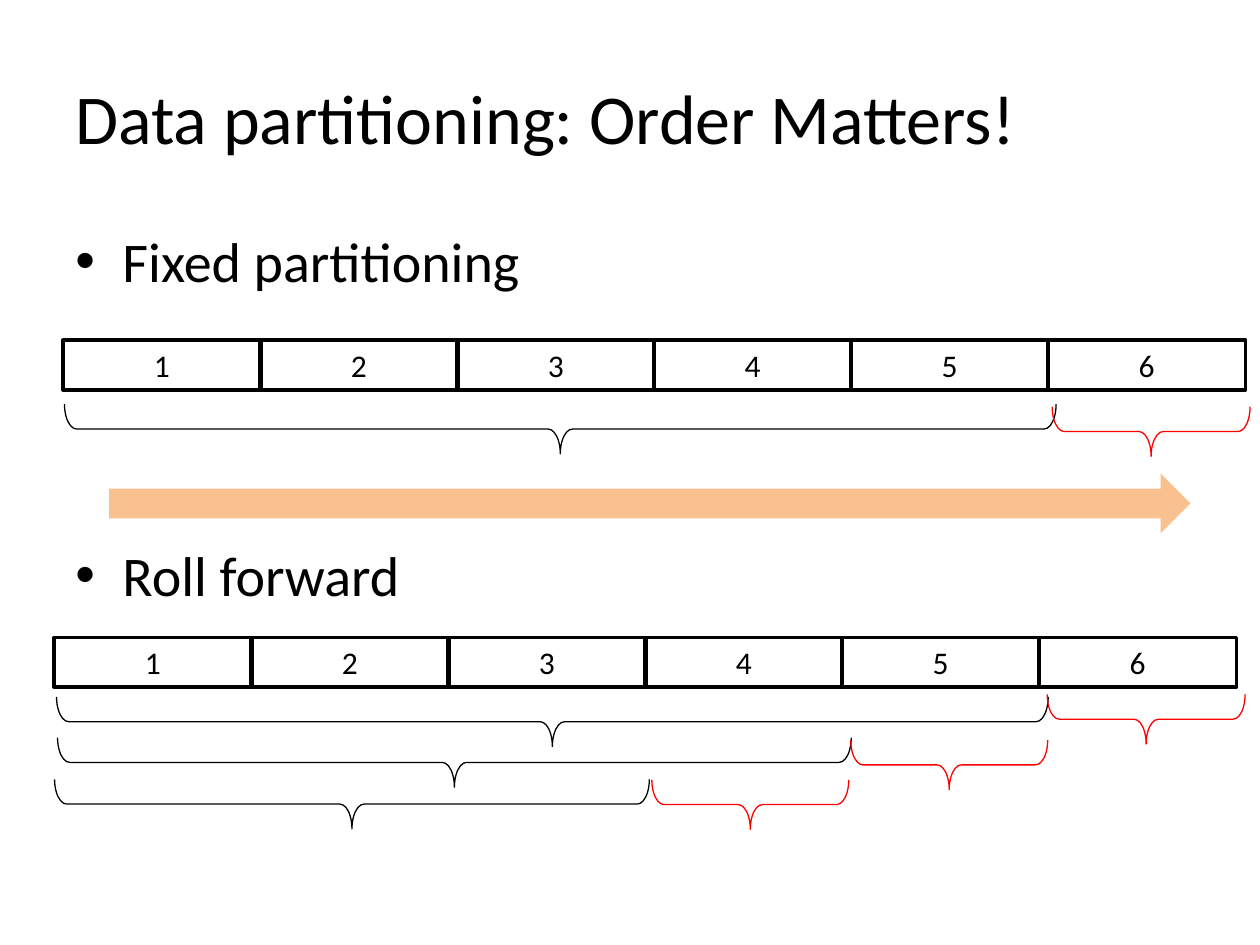
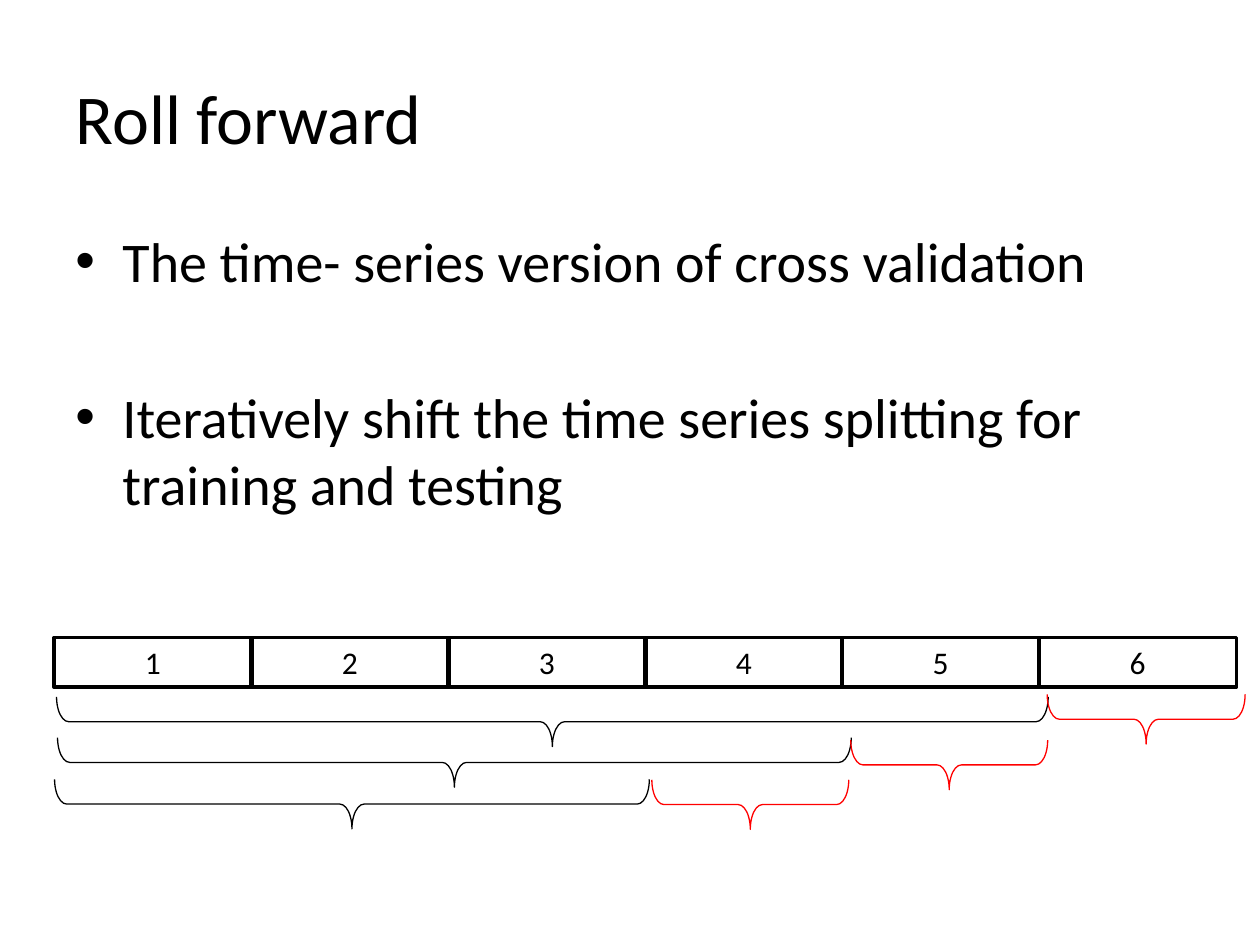
"""Two slides on fixed and roll-forward partitioning of ordered data."""
from lxml import etree
from pptx import Presentation
from pptx.dml.color import RGBColor
from pptx.enum.shapes import MSO_SHAPE
from pptx.enum.text import MSO_ANCHOR, PP_ALIGN
from pptx.oxml.ns import qn
from pptx.util import Cm, Pt

BLACK = RGBColor(0x00, 0x00, 0x00)
RED = RGBColor(0xFF, 0x00, 0x00)
PEACH = RGBColor(0xFA, 0xC0, 0x90)
FONT = "Calibri"
RECTANGLE, BRACE, ARROW = MSO_SHAPE.RECTANGLE, MSO_SHAPE.RIGHT_BRACE, MSO_SHAPE.RIGHT_ARROW
LEFT, CENTER = PP_ALIGN.LEFT, PP_ALIGN.CENTER
TOP, MIDDLE = MSO_ANCHOR.TOP, MSO_ANCHOR.MIDDLE

PERIODS = 6
PERIOD_WIDTH, PERIOD_PITCH, BAND_HEIGHT = 3.99, 3.97, 1.0

fixed_partition = {
    "left": 1.27, "top": 6.86,
    "training": [(1.3, 8.15, 19.99)],
    "testing": [(21.21, 8.2, 3.99)],
}
roll_partition = {
    "left": 1.09, "top": 12.85,
    "training": [(1.14, 14.05, 19.99), (1.16, 14.87, 16), (1.1, 15.71, 11.99)],
    "testing": [(21.11, 14, 3.99), (17.15, 14.92, 3.97), (13.14, 15.72, 3.97)],
}
topics = [
    ("Data partitioning: Order Matters!",
     ["Fixed partitioning", "Roll forward"], 140.5,
     [fixed_partition, roll_partition]),
    ("Roll forward",
     ["The time- series version of cross validation",
      "Iteratively shift the time series splitting for training and testing"], 50.5,
     [roll_partition]),
]


def write_run(paragraph, text, size, alignment):
    paragraph.alignment = alignment
    run = paragraph.add_run()
    run.text = text
    run.font.name = FONT
    run.font.size = Pt(size)
    run.font.color.rgb = BLACK


def add_brace(slide, left, top, span, color):
    brace = slide.shapes.add_shape(
        BRACE, Cm(left + (span - BAND_HEIGHT) / 2), Cm(top - (span - BAND_HEIGHT) / 2),
        Cm(BAND_HEIGHT), Cm(span))
    brace.rotation = 90
    brace.adjustments[0] = 0.245
    brace.shadow.inherit = False
    brace.fill.background()
    brace.line.color.rgb = color
    brace.line.width = Pt(0.75)


prs = Presentation()
prs.slide_width, prs.slide_height = Cm(25.4), Cm(19.05)

for heading, points, point_gap, partitions in topics:
    slide = prs.slides.add_slide(prs.slide_layouts[5])
    title = slide.shapes.title
    title.left, title.top, title.width, title.height = Cm(1.27), Cm(0.76), Cm(22.86), Cm(3.18)
    title.text_frame.vertical_anchor = MIDDLE
    write_run(title.text_frame.paragraphs[0], heading, 40, LEFT)

    body = slide.shapes.add_textbox(Cm(1.27), Cm(4.45), Cm(22.86), Cm(6.9)).text_frame
    body.word_wrap = True
    body.vertical_anchor = TOP
    for index, point in enumerate(points):
        paragraph = body.add_paragraph() if index else body.paragraphs[0]
        properties = paragraph._p.get_or_add_pPr()
        properties.set("marL", str(Cm(0.95)))
        properties.set("indent", str(-Cm(0.95)))
        etree.SubElement(properties, qn("a:buFont"), typeface="Arial")
        etree.SubElement(properties, qn("a:buChar"), char="•")
        if index:
            paragraph.space_before = Pt(point_gap)
        write_run(paragraph, point, 32, LEFT)

    for partition in partitions:
        timeline = slide.shapes.add_group_shape()
        for number in range(PERIODS):
            period = timeline.shapes.add_shape(
                RECTANGLE, Cm(partition["left"] + number * PERIOD_PITCH), Cm(partition["top"]),
                Cm(PERIOD_WIDTH), Cm(BAND_HEIGHT))
            period.shadow.inherit = False
            period.fill.background()
            period.line.color.rgb = BLACK
            period.line.width = Pt(2)
            period.text_frame.vertical_anchor = MIDDLE
            write_run(period.text_frame.paragraphs[0], str(number + 1), 18, CENTER)
        for role, color in (("training", BLACK), ("testing", RED)):
            for left, top, span in partition[role]:
                add_brace(slide, left, top, span, color)

    if fixed_partition in partitions:
        time_arrow = slide.shapes.add_shape(ARROW, Cm(2.2), Cm(9.55), Cm(21.8), Cm(1.2))
        time_arrow.shadow.inherit = False
        time_arrow.fill.solid()
        time_arrow.fill.fore_color.rgb = PEACH
        time_arrow.line.fill.background()

prs.save("out.pptx")
